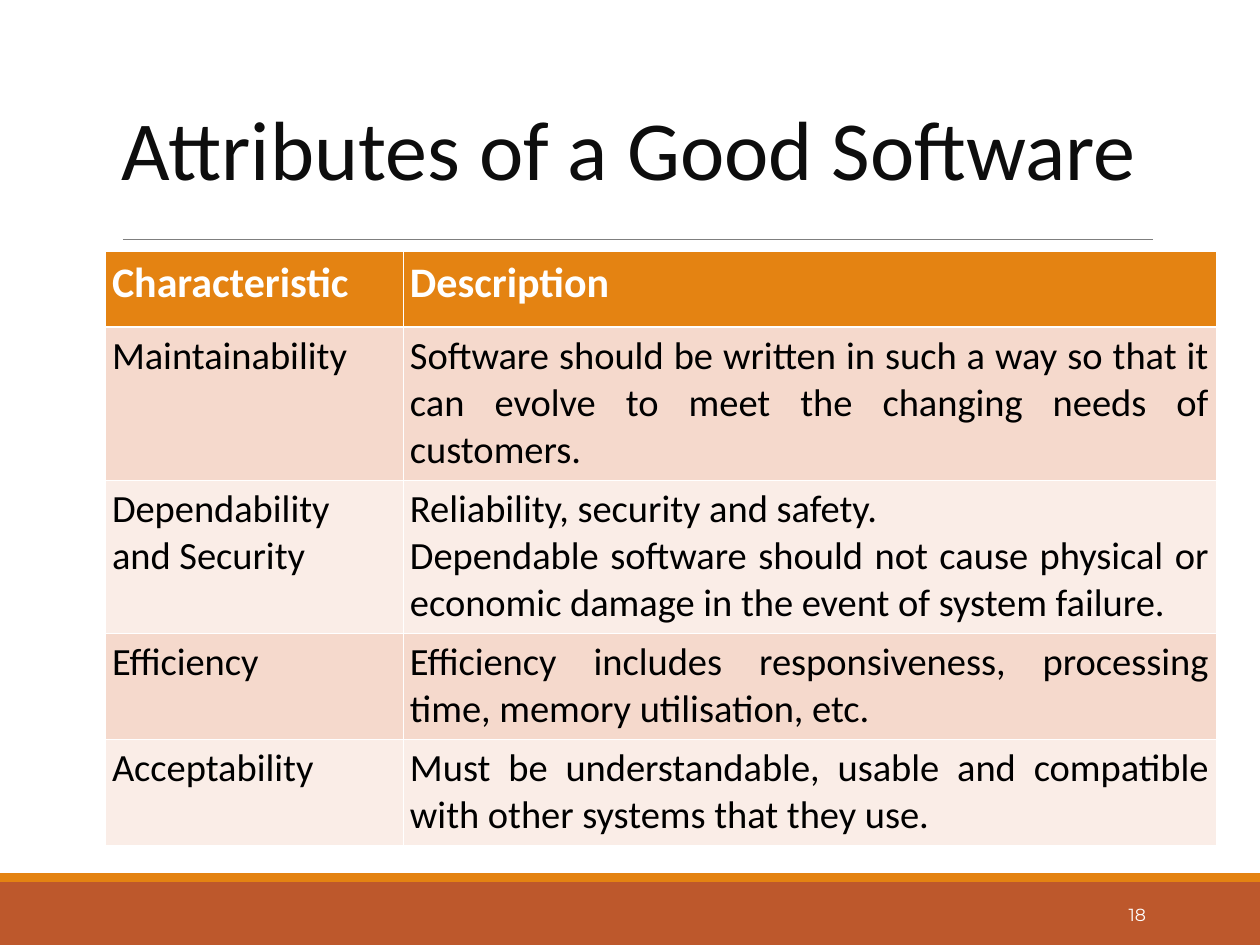
"""Build the slide on the attributes of good software."""
from lxml.etree import SubElement
from pptx import Presentation
from pptx.dml.color import RGBColor
from pptx.enum.shapes import MSO_CONNECTOR as CONN, MSO_SHAPE as SHAPE
from pptx.enum.text import MSO_ANCHOR as ANCHOR, PP_ALIGN as ALIGN
from pptx.oxml.ns import qn
from pptx.util import Emu, Pt

SCALE = 914400 / 126
C = {
    "rust": "BD582C", "orange": "E48312", "rule": "7F7F7F", "title": "0D0D0D",
    "white": "FFFFFF", "black": "000000", "band": "F5D9CC", "pale": "FAEDE7",
}
COLS = [298, 813]
ROW_HEIGHTS = [76, 153, 153, 106, 106]
ROWS = [
    ("Characteristic", "Description"),
    ("Maintainability",
     "Software should be written in such a way so that it can evolve to meet "
     "the changing needs of customers."),
    ("Dependability and Security",
     "Reliability, security and safety.\n"
     "Dependable software should not cause physical or economic damage in "
     "the event of system failure."),
    ("Efficiency",
     "Efficiency includes responsiveness, processing time, memory utilisation, etc."),
    ("Acceptability",
     "Must be understandable, usable and compatible with other systems that they use."),
]


def px(n):
    return Emu(round(n * SCALE))


def rgb(name):
    return RGBColor.from_string(C[name])


def style(p, size, color, font="Calibri", bold=False, align=ALIGN.LEFT):
    p.alignment = align
    p.font.size, p.font.name, p.font.bold = Pt(size), font, bold
    p.font.color.rgb = rgb(color)


def add_bar(slide, top, height, color):
    sp = slide.shapes.add_shape(SHAPE.RECTANGLE, 0, px(top), px(1260), px(height))
    sp.shadow.inherit = False
    sp.fill.solid()
    sp.fill.fore_color.rgb = rgb(color)
    sp.line.fill.background()


def add_rule(slide, x1, x2, y):
    ln = slide.shapes.add_connector(CONN.STRAIGHT, px(x1), px(y), px(x2), px(y))
    ln.line.color.rgb = rgb("rule")
    ln.line.width = Pt(0.5)
    SubElement(ln._element.spPr, qn("a:effectLst"))


def add_text(slide, box, text, margin, spacing=1.0, **font):
    tf = slide.shapes.add_textbox(*map(px, box)).text_frame
    tf.word_wrap = True
    tf.vertical_anchor = ANCHOR.MIDDLE
    tf.margin_left = tf.margin_right = px(margin)
    p = tf.paragraphs[0]
    p.text = text
    p.line_spacing = spacing
    style(p, **font)


def set_borders(cell, widths):
    tc_pr = cell._tc.get_or_add_tcPr()
    for side, width in widths.items():
        ln = SubElement(tc_pr, qn(f"a:ln{side}"), w=str(Pt(width)))
        fill = SubElement(ln, qn("a:solidFill"))
        SubElement(fill, qn("a:srgbClr"), val=C["white"])


def fill_cell(cell, text, row, align):
    header = row == 0
    set_borders(cell, {"L": 0.45, "R": 0.45, "T": 1.47 if row == 1 else 0.45,
                       "B": 1.47 if header else 0.45})
    cell.fill.solid()
    cell.fill.fore_color.rgb = rgb("orange" if header else "band" if row % 2 else "pale")
    cell.margin_left = cell.margin_right = px(7)
    cell.text = text
    for p in cell.text_frame.paragraphs:
        style(p, 24 if header else 22, "white" if header else "black",
              bold=header, align=align)


def add_attribute_table(slide, left, top):
    table = slide.shapes.add_table(len(ROWS), len(COLS), px(left), px(top),
                                   px(sum(COLS)), px(sum(ROW_HEIGHTS))).table
    for col, width in zip(table.columns, COLS):
        col.width = px(width)
    for r, (height, texts) in enumerate(zip(ROW_HEIGHTS, ROWS)):
        table.rows[r].height = px(height)
        for c, text in enumerate(texts):
            align = ALIGN.LEFT if (r, c) == (2, 0) else ALIGN.JUSTIFY
            fill_cell(table.cell(r, c), text, r, align)


def main():
    prs = Presentation()
    prs.slide_width, prs.slide_height = px(1260), px(945)
    slide = prs.slides.add_slide(prs.slide_layouts[6])
    add_bar(slide, 882, 63, "rust")
    add_bar(slide, 873, 9, "orange")
    add_rule(slide, 123, 1153, 239)
    add_text(slide, (120, 76, 1071, 157), "Attributes of a Good Software",
             margin=2, spacing=0.85, size=48, color="title")
    add_attribute_table(slide, 105, 251)
    add_text(slide, (1023, 890, 136, 50), "18", margin=13, size=10,
             color="white", font="Montserrat", align=ALIGN.RIGHT)
    prs.save("out.pptx")


if __name__ == "__main__":
    main()
